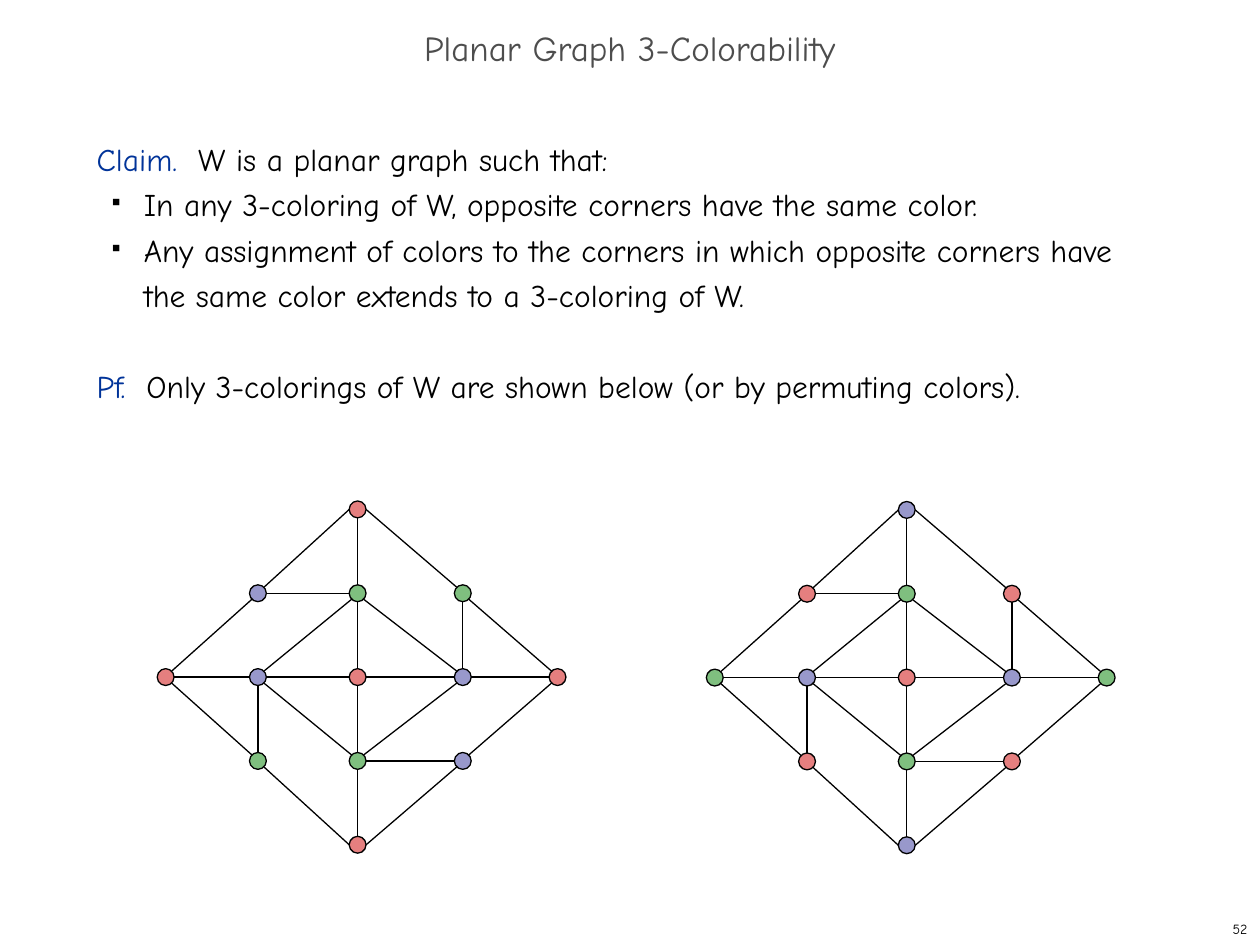
from dataclasses import dataclass

from lxml import etree
from pptx import Presentation
from pptx.dml.color import RGBColor
from pptx.enum.shapes import MSO_CONNECTOR, MSO_SHAPE
from pptx.enum.text import MSO_ANCHOR, PP_ALIGN
from pptx.oxml.ns import qn
from pptx.util import Cm, Pt

LINE, OVAL = MSO_CONNECTOR.STRAIGHT, MSO_SHAPE.OVAL
TOP, MID = MSO_ANCHOR.TOP, MSO_ANCHOR.MIDDLE
LEFT, MIDST, RIGHT = PP_ALIGN.LEFT, PP_ALIGN.CENTER, PP_ALIGN.RIGHT
FONT = "Comic Neue"
BLACK, BLUE, GRAY = "000000", "003399", "4D4D4D"
PAINT = {"r": "CC0000", "g": "008000", "b": "333399"}
RAD = 0.17
DIAG = RAD * 0.71
COLS = {-2: -3.87, -1: -2.01, 0: 0, 1: 2.12, 2: 4.03}
ROWS = {-2: -3.38, -1: -1.69, 0: 0, 1: 1.69, 2: 3.38}
NODES = {
    "N": (0, -2), "A": (-1, -1), "B": (0, -1), "C": (1, -1),
    "W": (-2, 0), "D": (-1, 0), "M": (0, 0), "E": (1, 0), "X": (2, 0),
    "F": (-1, 1), "G": (0, 1), "H": (1, 1), "S": (0, 2),
}
EDGES = ("WD DM ME EX AB GH NB BM MG GS NA AW WF FS NC CX XH HS "
         "BD BE DG EG DF CE").split()


@dataclass
class Graph:
    """A colouring of W: its centre and one colour letter per node."""
    x: float
    y: float
    tints: str


GRAPHS = [Graph(18.28, 13.66, "brgrgbrbgrgrb"),
          Graph(7.21, 13.65, "rbggrbrbrggbr")]


def tint(code: str) -> RGBColor:
    """Turn a hex string into a colour."""
    return RGBColor.from_string(code)


def sign(num: int) -> int:
    """Return -1, 0 or 1."""
    return (num > 0) - (num < 0)


def rim(graph: Graph, name: str, goal: str) -> tuple[float, float]:
    """Find the point on a node's rim where the edge to goal starts."""
    (col, row), (far, low) = NODES[name], NODES[goal]
    dx, dy = sign(far - col), sign(low - row)
    if dx and dy:
        dx, dy = (dx * RAD, 0) if name in "NS" else (dx * DIAG, dy * DIAG)
    else:
        dx, dy = dx * RAD, dy * RAD
    return graph.x + COLS[col] + dx, graph.y + ROWS[row] + dy


def edge(shapes, graph: Graph, start: str, end: str) -> None:
    """Draw one edge between two nodes."""
    ends = rim(graph, start, end) + rim(graph, end, start)
    link = shapes.add_connector(LINE, *(Cm(val) for val in ends))
    link.line.color.rgb = tint(BLACK)
    link.line.width = Pt(0.75)
    etree.SubElement(link.element.spPr, qn("a:effectLst"))


def node(shapes, graph: Graph, name: str, hue: str) -> None:
    """Draw one half-transparent node."""
    col, row = NODES[name]
    dot = shapes.add_shape(OVAL, Cm(graph.x + COLS[col] - RAD),
                           Cm(graph.y + ROWS[row] - RAD),
                           Cm(2 * RAD), Cm(2 * RAD))
    dot.shadow.inherit = False
    dot.fill.solid()
    dot.fill.fore_color.rgb = tint(PAINT[hue])
    clr = dot.element.spPr.find(qn("a:solidFill")).find(qn("a:srgbClr"))
    etree.SubElement(clr, qn("a:alpha"), val="50000")
    dot.line.color.rgb = tint(BLACK)
    dot.line.width = Pt(0.75)


def draw(slide, graph: Graph) -> None:
    """Draw a whole graph as one group."""
    shapes = slide.shapes.add_group_shape().shapes
    for start, end in EDGES:
        edge(shapes, graph, start, end)
    for name, hue in zip(NODES, graph.tints):
        node(shapes, graph, name, hue)


def frame(slide, x: float, y: float, w: float, h: float, anchor=MID):
    """Add a wrapping text box and return its text frame."""
    box = slide.shapes.add_textbox(Cm(x), Cm(y), Cm(w), Cm(h)).text_frame
    box.word_wrap = True
    box.vertical_anchor = anchor
    return box


def bullet(para) -> None:
    """Give a paragraph a small square bullet and a hanging indent."""
    props = para._p.get_or_add_pPr()
    props.set("marL", str(Cm(0.95)))
    props.set("indent", str(Cm(-0.64)))
    hue = etree.SubElement(props, qn("a:buClr"))
    etree.SubElement(hue, qn("a:srgbClr"), val=BLACK)
    etree.SubElement(props, qn("a:buSzPct"), val="35000")
    etree.SubElement(props, qn("a:buChar"), char="■")


def write(para, text: str, size: float = 18, color: str = BLACK,
          align=LEFT, space=Pt(26)) -> None:
    """Add a run of text to a paragraph."""
    para.alignment = align
    para.line_spacing = space
    run = para.add_run()
    run.text = text
    run.font.name = FONT
    run.font.size = Pt(size)
    run.font.color.rgb = tint(color)


def body(slide) -> None:
    """Write the claim, its two points and the proof."""
    box = frame(slide, 1.7, 2.54, 21.8, 15.04, TOP)
    claim = box.paragraphs[0]
    write(claim, "Claim.  ", color=BLUE)
    write(claim, "W is a planar graph such that:")
    for text in (
        "In any 3-coloring of W, opposite corners have the same color.",
        "Any assignment of colors to the corners in which opposite corners "
        "have the same color extends to a 3-coloring of W.",
    ):
        para = box.add_paragraph()
        bullet(para)
        write(para, text)
    proof = box.add_paragraph()
    proof.space_before = Pt(26)
    write(proof, "Pf.  ", color=BLUE)
    write(proof, "Only 3-colorings of W are shown below "
                 "(or by permuting colors).")


def main() -> None:
    """Build the slide and save it."""
    deck = Presentation()
    deck.slide_width, deck.slide_height = Cm(25.4), Cm(19.05)
    slide = deck.slides.add_slide(deck.slide_layouts[6])
    for graph in GRAPHS:
        draw(slide, graph)
    title = frame(slide, 0, 0.43, 25.4, 1.27)
    write(title.paragraphs[0], "Planar Graph 3-Colorability", size=20,
          color=GRAY, align=MIDST, space=0.7)
    body(slide)
    page = frame(slide, 20.12, 18.42, 5.28, 0.63)
    write(page.paragraphs[0], "52", size=8, align=RIGHT, space=1.0)
    deck.save("out.pptx")


if __name__ == "__main__":
    main()
